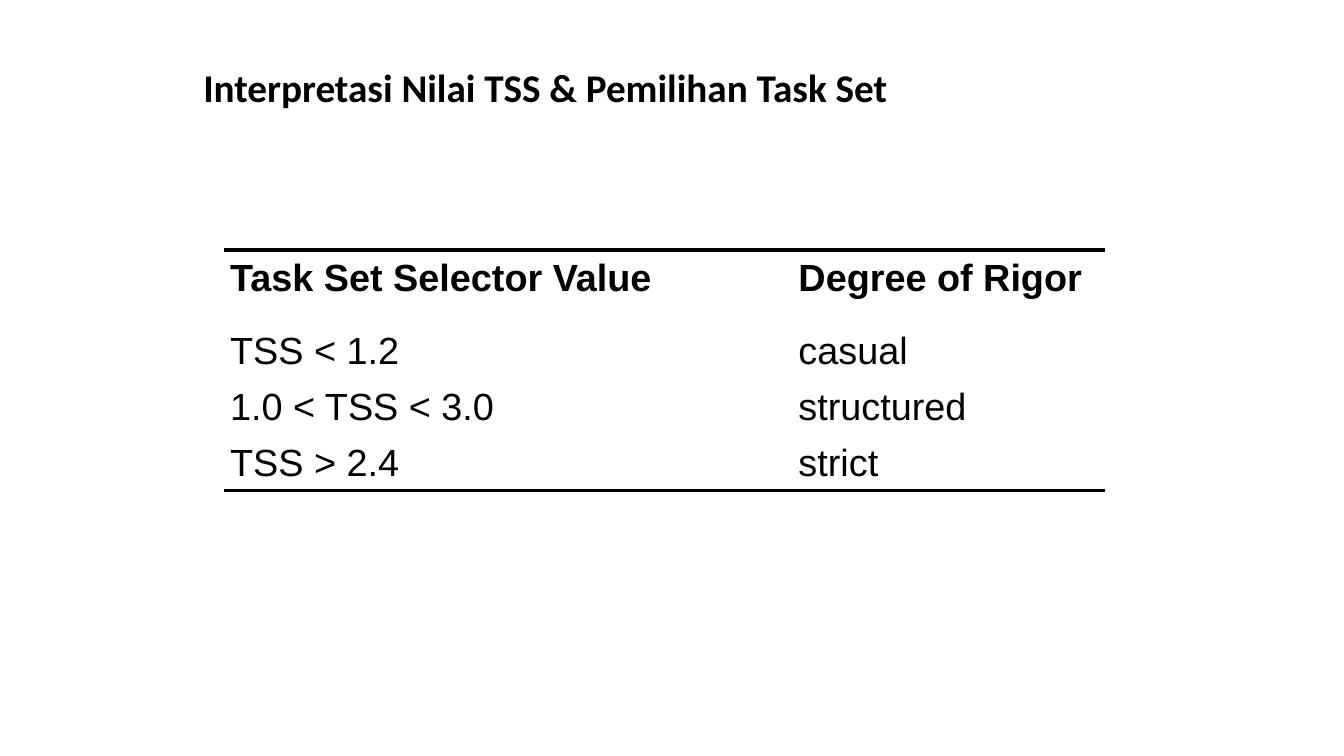
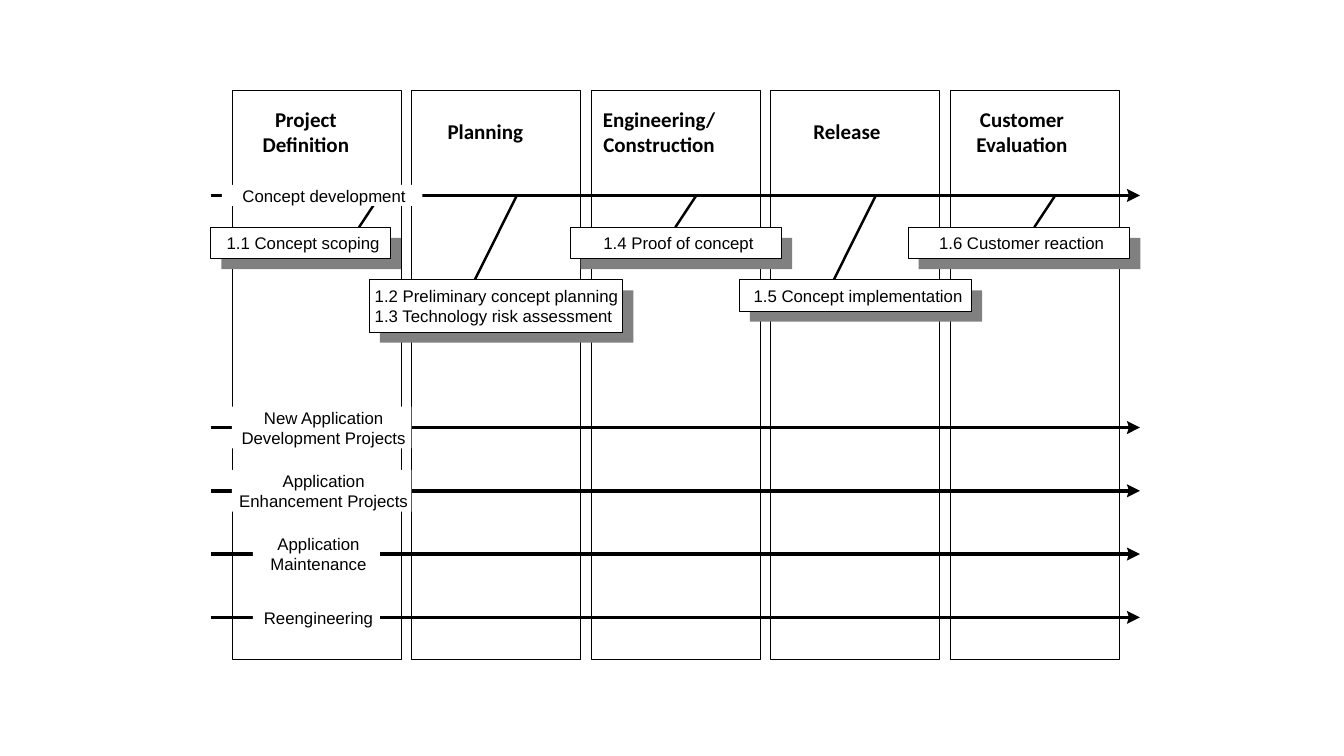
from lxml import etree
from pptx import Presentation
from pptx.dml.color import RGBColor
from pptx.enum.shapes import MSO_CONNECTOR, MSO_SHAPE
from pptx.enum.text import MSO_ANCHOR, PP_ALIGN
from pptx.oxml.ns import qn
from pptx.util import Pt

LEFT, CENTER = PP_ALIGN.LEFT, PP_ALIGN.CENTER
TOP, MIDDLE = MSO_ANCHOR.TOP, MSO_ANCHOR.MIDDLE
RECTANGLE, STRAIGHT = MSO_SHAPE.RECTANGLE, MSO_CONNECTOR.STRAIGHT
BLACK, WHITE, GRAY = "000000", "FFFFFF", "808080"
HEADING_FONT, BODY_FONT = "Calibri", "Arial"
TITLE_ONLY, BLANK = 5, 6

# Table slide
TITLE = "Interpretasi Nilai TSS & Pemilihan Task Set"
RIGOR_ROWS = [
    ("Task Set Selector Value", "Degree of Rigor"),
    ("TSS < 1.2", "casual"),
    ("1.0 < TSS < 3.0", "structured"),
    ("TSS > 2.4", "strict"),
]
TABLE_LEFT, TABLE_TOP = 160, 178.6
COLUMN_WIDTHS = (406, 223)
ROW_HEIGHTS = (52, 40.2, 40.2, 39.6)

# Process slide: phase heading lines and heading centre
PHASES = [
    (("Project", "Definition"), 218.5),
    (("Planning",), 346.7),
    (("Engineering/", "Construction"), 470.8),
    (("Release",), 605),
    (("Customer", "Evaluation"), 730),
]
PHASE_LEFT, PHASE_STEP, PHASE_WIDTH = 166, 128.2, 120.7
PHASE_TOP, PHASE_HEIGHT = 64.5, 406.5

CONCEPT_Y, FIRST_PROJECT_Y, LANE_STEP = 139.6, 305.4, 45.2
LANE_START, LANE_END, ARROW_TIP = 150.5, 807.8, 814.3
# Arrowhead outline measured from its tip
ARROW_POINTS = [(-9.4, 4.7), (-8.6, 2.2), (-7.9, 0), (-8.6, -2.4), (-9.4, -4.7)]
# Lane label lines, left, width
LANES = [
    (("Concept development",), 158.4, 143.3),
    (("New Application", "Development Projects"), 165.6, 128.2),
    (("Application", "Enhancement Projects"), 165.6, 128.2),
    (("Application", "Maintenance"), 180.7, 90.7),
    (("Reengineering",), 180.7, 90.7),
]

UPPER, LOWER = 162.3, 199.8
STEM_RUN = {UPPER: 15, LOWER: 30}
SHADOW_OFFSET = 7.6
# Task lines, left, width, top, stem start measured from its phase's left edge
TASKS = [
    (("1.1 Concept scoping",), 150.5, 128.2, UPPER, 105.5),
    (("1.2 Preliminary concept planning", "1.3 Technology risk assessment"),
     263.7, 181.2, LOWER, 75),
    (("1.4 Proof of concept",), 407.2, 151, UPPER, 75),
    (("1.5 Concept implementation",), 528, 166, LOWER, 75),
    (("1.6 Customer reaction",), 648.6, 158.4, UPPER, 75),
]


def color(value):
    return RGBColor.from_string(value)


def write(frame, lines, size, font, bold=False, align=CENTER,
          anchor=MIDDLE, wrap=False):
    frame.word_wrap = wrap
    frame.vertical_anchor = anchor
    for index, line in enumerate(lines):
        para = frame.paragraphs[0] if index == 0 else frame.add_paragraph()
        para.alignment = align
        span = para.add_run()
        span.text = line
        span.font.size, span.font.name, span.font.bold = Pt(size), font, bold
        span.font.color.rgb = color(BLACK)


def set_margins(target, left=0, top=0, right=0, bottom=0):
    target.margin_left, target.margin_right = Pt(left), Pt(right)
    target.margin_top, target.margin_bottom = Pt(top), Pt(bottom)


def paint(shape, fill=None, outlined=False):
    shape.shadow.inherit = False
    if fill:
        shape.fill.solid()
        shape.fill.fore_color.rgb = color(fill)
    else:
        shape.fill.background()
    if outlined:
        shape.line.color.rgb = color(BLACK)
        shape.line.width = Pt(0.63)
    else:
        shape.line.fill.background()


def add_box(page, left, top, width, height, fill=None, outlined=False):
    box = page.shapes.add_shape(RECTANGLE, Pt(left), Pt(top), Pt(width), Pt(height))
    paint(box, fill, outlined)
    set_margins(box.text_frame, left=4)
    return box


def add_line(page, x1, y1, x2, y2, width):
    line = page.shapes.add_connector(STRAIGHT, Pt(x1), Pt(y1), Pt(x2), Pt(y2))
    line.line.color.rgb = color(BLACK)
    line.line.width = Pt(width)
    etree.SubElement(line._element.spPr, qn("a:effectLst"))


def add_arrowhead(page, x, y):
    outline = page.shapes.build_freeform(Pt(x), Pt(y))
    outline.add_line_segments([(Pt(x + dx), Pt(y + dy)) for dx, dy in ARROW_POINTS])
    paint(outline.convert_to_shape(), BLACK)


def build_table_page(deck):
    page = deck.slides.add_slide(deck.slide_layouts[TITLE_ONLY])
    title = page.shapes.title
    title.left, title.top, title.width, title.height = Pt(138), Pt(41.3), Pt(678), Pt(41)
    write(title.text_frame, [TITLE], 28, HEADING_FONT, True, LEFT, TOP, True)

    width, height = sum(COLUMN_WIDTHS), sum(ROW_HEIGHTS)
    table = page.shapes.add_table(
        len(RIGOR_ROWS), len(COLUMN_WIDTHS), Pt(TABLE_LEFT), Pt(TABLE_TOP),
        Pt(width), Pt(height)).table
    table.first_row = table.horz_banding = False
    for column, column_width in zip(table.columns, COLUMN_WIDTHS):
        column.width = Pt(column_width)
    for index, (row, row_height) in enumerate(zip(table.rows, ROW_HEIGHTS)):
        row.height = Pt(row_height)
        for cell, text in zip(row.cells, RIGOR_ROWS[index]):
            set_margins(cell, left=4.4, top=5.2)
            cell.vertical_anchor = TOP
            cell.fill.background()
            write(cell.text_frame, [text], 27, BODY_FONT, index == 0, LEFT, TOP, True)

    # Unbroken rules above and below the table
    for y in (TABLE_TOP, TABLE_TOP + height):
        add_line(page, TABLE_LEFT, y, TABLE_LEFT + width, y, 2.38)


def build_process_page(deck):
    page = deck.slides.add_slide(deck.slide_layouts[BLANK])
    phase_lefts = [PHASE_LEFT + index * PHASE_STEP for index in range(len(PHASES))]
    lane_ys = [CONCEPT_Y] + [FIRST_PROJECT_Y + index * LANE_STEP
                             for index in range(len(LANES) - 1)]

    # Phase columns with headings
    for left, (lines, center) in zip(phase_lefts, PHASES):
        add_box(page, left, PHASE_TOP, PHASE_WIDTH, PHASE_HEIGHT, outlined=True)
        heading = page.shapes.add_textbox(
            Pt(center - PHASE_WIDTH / 2), Pt(76), Pt(PHASE_WIDTH), Pt(36))
        set_margins(heading.text_frame)
        write(heading.text_frame, lines, 15, HEADING_FONT, True)

    # Stems lie below the lane labels
    for phase_left, (_, _, _, top, offset) in zip(phase_lefts, TASKS):
        start = phase_left + offset
        add_line(page, start, CONCEPT_Y, start - STEM_RUN[top], top, 1.75)

    # Lanes and their labels
    for y, (lines, left, width) in zip(lane_ys, LANES):
        add_line(page, LANE_START, y, LANE_END, y, 2.63)
        add_arrowhead(page, ARROW_TIP, y)
        height = 15 * len(lines)
        label = add_box(page, left, y - height / 2, width, height, WHITE)
        set_margins(label.text_frame, left=3)
        write(label.text_frame, lines, 12, BODY_FONT)

    # Task boxes with drop shadows
    for lines, left, width, top, _ in TASKS:
        height = 7.4 + 15 * len(lines)
        add_box(page, left + SHADOW_OFFSET, top + SHADOW_OFFSET, width, height, GRAY)
        task = add_box(page, left, top, width, height, WHITE, outlined=True)
        write(task.text_frame, lines, 12, BODY_FONT,
              align=CENTER if len(lines) == 1 else LEFT, wrap=True)


def main():
    deck = Presentation()
    deck.slide_width, deck.slide_height = Pt(960), Pt(540)
    build_table_page(deck)
    build_process_page(deck)
    deck.save("out.pptx")


if __name__ == "__main__":
    main()
